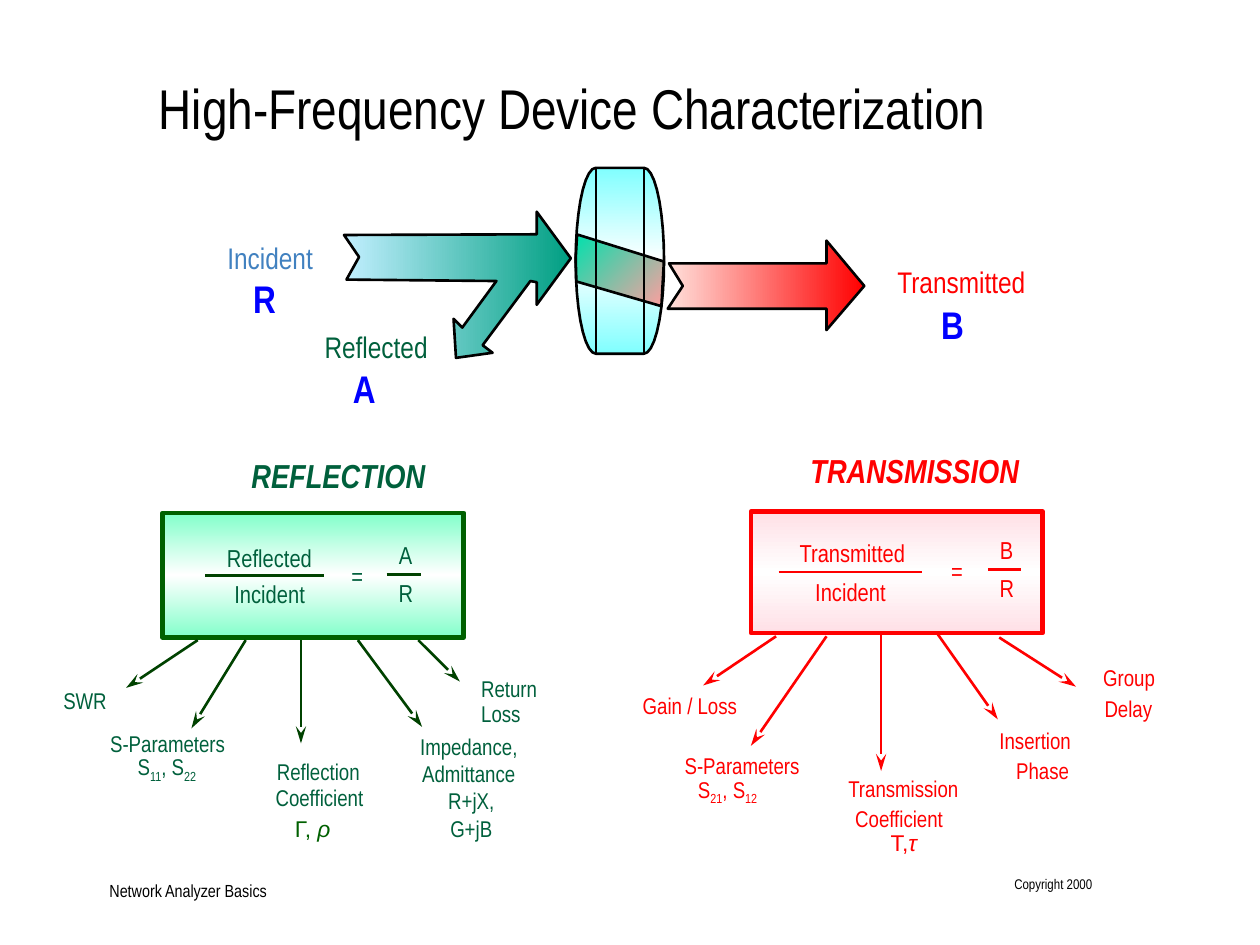
"""Build a slide on high-frequency device characterization."""
import copy
import math

import pptx
import pptx.util
import pptx.dml.color
import pptx.enum.shapes
import pptx.enum.text
import pptx.oxml.ns
import pptx.oxml.xmlchemy

Pt = pptx.util.Pt
qn = pptx.oxml.ns.qn
ALIGN = pptx.enum.text.PP_ALIGN
ANCHOR = pptx.enum.text.MSO_ANCHOR
FONT = "Arial Narrow"
INK = {
    "black": "000000", "white": "FFFFFF", "blue": "0000FF", "sky": "4181C0",
    "green": "00603C", "dark": "004200", "leaf": "006000", "red": "FF0000",
    "mint": "82FFCA", "pink": "FFE0E6", "aqua": "80FFFF", "jade": "00E1AD",
    "rose": "FF9F9F", "ice": "C2EFFF", "teal": "009F82", "blush": "FFE1DC",
}

REFLECT = {
    "ink": "green", "line": "dark", "edge": "leaf", "tint": "mint",
    "box": (92.9, 293, 172.1, 71.3),
    "head": ("REFLECTION", 121.7, 261.4, 143.3),
    "ratio": [
        ("Reflected", 120.2, 309.6, 67.7), ("Incident", 126, 330.5, 56.2),
        ("=", 194.4, 320.4, 19.4),
        ("A", 198, 308.2, 67.7), ("R", 203.8, 329.8, 56.2),
    ],
    "bars": [(117.4, 329, 185, 329), (221, 328.3, 240.5, 328.3)],
    "rays": [
        (172, 365.8, 172, 424.8), (140.4, 365.8, 109.4, 416.2),
        (204.5, 365.8, 241.2, 415.4), (113, 365.8, 72, 393.1),
        (239, 365.8, 262.8, 389.5),
    ],
    "notes": [
        ("SWR", 31.7, 392.4, 33.8), ("S-Parameters", 51.1, 416.9, 89.3),
        (("S", "11", ", S", "22"), 67.7, 432, 55.4),
        ("Reflection", 149.8, 432.7, 64.1), ("Coefficient", 148.3, 447.8, 68.4),
        ("Impedance, Admittance", 229.7, 418.3, 76.3, 31.7),
        ("R+jX, G+jB", 251.3, 449.3, 36, 31.7),
        ("Return", 269.3, 385.2, 43.2), ("Loss", 270.7, 399.6, 31),
    ],
    "greek": (("Γ, ", "ρ"), 168.5, 465.8, 26.6),
}
TRANSMIT = {
    "ink": "red", "line": "red", "edge": "red", "tint": "pink",
    "box": (429.1, 292.3, 166.7, 69.5),
    "head": ("TRANSMISSION", 438.5, 258.5, 168.5),
    "ratio": [
        ("Transmitted", 445, 306.7, 84.2), ("Incident", 457.9, 329, 56.2),
        ("=", 537.1, 317.5, 19.4),
        ("B", 541.4, 305.3, 67.7), ("R", 547.2, 326.9, 56.2),
    ],
    "bars": [(445, 326.9, 527, 326.9), (564.5, 325.4, 583.2, 325.4)],
    "rays": [
        (503.5, 362.2, 503.5, 440.6), (472.3, 363.6, 429.1, 426.2),
        (535.7, 362.2, 570.2, 411.1), (443.5, 363.6, 401.8, 391.7),
        (571, 364.3, 614.9, 392.4),
    ],
    "notes": [
        ("Gain / Loss", 348.5, 395.3, 91.4), ("S-Parameters", 379.4, 429.1, 89.3),
        (("S", "21", ", S", "12"), 388.1, 445, 55.4),
        ("Group", 625, 379.4, 40.3), ("Delay", 626.4, 396.7, 36.7),
        ("Transmission", 473, 442.8, 86.4), ("Coefficient", 479.5, 459.4, 68.4),
        ("Insertion", 563.8, 415.4, 55.4), ("Phase", 575.3, 432, 41),
    ],
    "greek": (("Τ,", "τ"), 509, 473.8, 25.9),
}


def tone(name):
    return pptx.dml.color.RGBColor.from_string(INK[name])


def style(shape, size, ink, align=ALIGN.CENTER, anchor=ANCHOR.BOTTOM, font=FONT):
    frame = shape.text_frame
    frame.word_wrap = True
    frame.auto_size = pptx.enum.text.MSO_AUTO_SIZE.NONE
    frame.margin_left = frame.margin_right = 0
    frame.margin_top = frame.margin_bottom = 0
    frame.vertical_anchor = anchor
    para = frame.paragraphs[0]
    para.alignment = align
    para.font.name, para.font.size = font, Pt(size)
    para.font.color.rgb = tone(ink)
    return para


def write(slide, words, x, y, w, h, size, ink, **look):
    """Add a text box; words may be a tuple of runs."""
    box = slide.shapes.add_textbox(Pt(x), Pt(y), Pt(w), Pt(h))
    para = style(box, size, ink, **look)
    for part in (words,) if isinstance(words, str) else words:
        para.add_run().text = part
    return para


def shade(shape, inks, angle, edge="black", width=1.5):
    shape.shadow.inherit = False
    shape.fill.gradient()
    stops = shape._element.spPr.find(".//" + qn("a:gsLst"))
    while len(stops) < len(inks):
        stops.append(copy.deepcopy(stops[0]))
    for i, (stop, ink) in enumerate(zip(shape.fill.gradient_stops, inks)):
        stop.position = i / (len(inks) - 1)
        stop.color.rgb = tone(ink)
    shape.fill.gradient_angle = angle
    shape.line.color.rgb = tone(edge)
    shape.line.width = Pt(width)


def trace(slide, dots, inks, angle):
    dots = [(Pt(x), Pt(y)) for x, y in dots]
    path = slide.shapes.build_freeform(*dots[0])
    path.add_line_segments(dots[1:], close=True)
    shade(path.convert_to_shape(), inks, angle)


def rule(slide, ends, ink, head=False):
    kind = pptx.enum.shapes.MSO_CONNECTOR.STRAIGHT
    line = slide.shapes.add_connector(kind, *map(Pt, ends))
    line.line.color.rgb = tone(ink)
    line.line.width = Pt(1.5)
    props = line._element.spPr
    make = pptx.oxml.xmlchemy.OxmlElement
    if head:
        tip = make("a:tailEnd")
        for key, value in (("type", "stealth"), ("w", "med"), ("len", "lg")):
            tip.set(key, value)
        props.find(qn("a:ln")).append(tip)
    props.append(make("a:effectLst"))


def disc(slide):
    left, right, mid, high = 340.5, 368, 149, 53.1
    rim = []
    for edge, wide, start in ((right, 11.5, -90), (left, 11.5, 90)):
        for step in range(0, 181, 10):
            turn = math.radians(start + step)
            rim.append((edge + wide * math.cos(turn), mid + high * math.sin(turn)))
    trace(slide, rim, ("aqua", "white", "aqua"), 270)
    band = [(329.8, 134), (329, 148), (329.4, 160.9), (378, 175), (379.4, 149.5)]
    trace(slide, band, ("jade", "rose"), 315)
    for x in (left, right):
        rule(slide, (x, mid - high, x, mid + high), "black")


def panel(slide, side):
    kind = pptx.enum.shapes.MSO_SHAPE.RECTANGLE
    box = slide.shapes.add_shape(kind, *map(Pt, side["box"]))
    shade(box, (side["tint"], "white", side["tint"]), 270, side["edge"], 2.5)
    head = write(slide, *side["head"], 21.6, 19, side["ink"])
    head.font.bold = head.font.italic = True
    for item in side["ratio"]:
        write(slide, *item, 17.3, 14, side["ink"])
    for ends in side["bars"]:
        rule(slide, ends, side["line"])
    for ends in side["rays"]:
        rule(slide, ends, side["line"], head=True)
    for words, x, y, w, *h in side["notes"]:
        para = write(slide, words, x, y, w, h[0] if h else 15.8, 13, side["ink"])
        for run in para.runs[1::2]:
            run.font._element.set("baseline", "-25000")
    greek = write(slide, *side["greek"], 17.3, 13, side["edge"],
                  align=ALIGN.LEFT, anchor=ANCHOR.TOP, font="Arial")
    greek.runs[1].font.italic = True


def waves(slide):
    trace(slide, [(205.2, 146.9), (196.6, 134.3), (306.7, 133.9), (306.7, 121),
                  (326.2, 147.6), (306.7, 174.2), (306.7, 161.3), (303.1, 160.6),
                  (275.8, 197.3), (281.5, 201.6), (260.6, 204.5), (259.2, 182.2),
                  (264.2, 187.2), (283.7, 160.6), (198, 159.8)], ("ice", "teal"), 0)
    trace(slide, [(390.2, 163.4), (382.3, 150.5), (472.3, 150.5), (472.3, 137.5),
                  (493.9, 163.4), (472.3, 188.6), (472.3, 176.4), (381.6, 176.4)],
          ("blush", "red"), 0)
    for words, x, y, w, ink in (("Incident", 120.2, 137.5, 68.4, "sky"),
                                ("Reflected", 175, 188.4, 79.9, "green"),
                                ("Transmitted", 499, 151.2, 100.8, "red")):
        write(slide, words, x, y, w, 20, 17, ink)
    for words, x, y in (("R", 144.7, 157), ("B", 537.8, 172.1), ("A", 201.6, 208.8)):
        para = write(slide, words, x, y, 19.4, 27.4, 22, "blue",
                     align=ALIGN.LEFT, anchor=ANCHOR.TOP)
        para.font.bold = True


def main():
    deck = pptx.Presentation()
    deck.slide_width, deck.slide_height = Pt(720), Pt(540)
    slide = deck.slides.add_slide(deck.slide_layouts[5])
    title = slide.shapes.title
    title.left, title.top, title.width, title.height = map(Pt, (90.7, 41.8, 675.4, 36.7))
    title.text = "High-Frequency Device Characterization"
    style(title, 32, "black", align=ALIGN.LEFT, anchor=ANCHOR.TOP)
    write(slide, "Network Analyzer Basics", 62.6, 501.8, 192.2, 13, 10, "black",
          align=ALIGN.LEFT)
    write(slide, "Copyright 2000", 578.2, 500.4, 46.1, 18, 8, "black",
          align=ALIGN.RIGHT, anchor=ANCHOR.TOP)
    for side in (TRANSMIT, REFLECT):
        panel(slide, side)
    disc(slide)
    waves(slide)
    deck.save("out.pptx")


if __name__ == "__main__":
    main()
